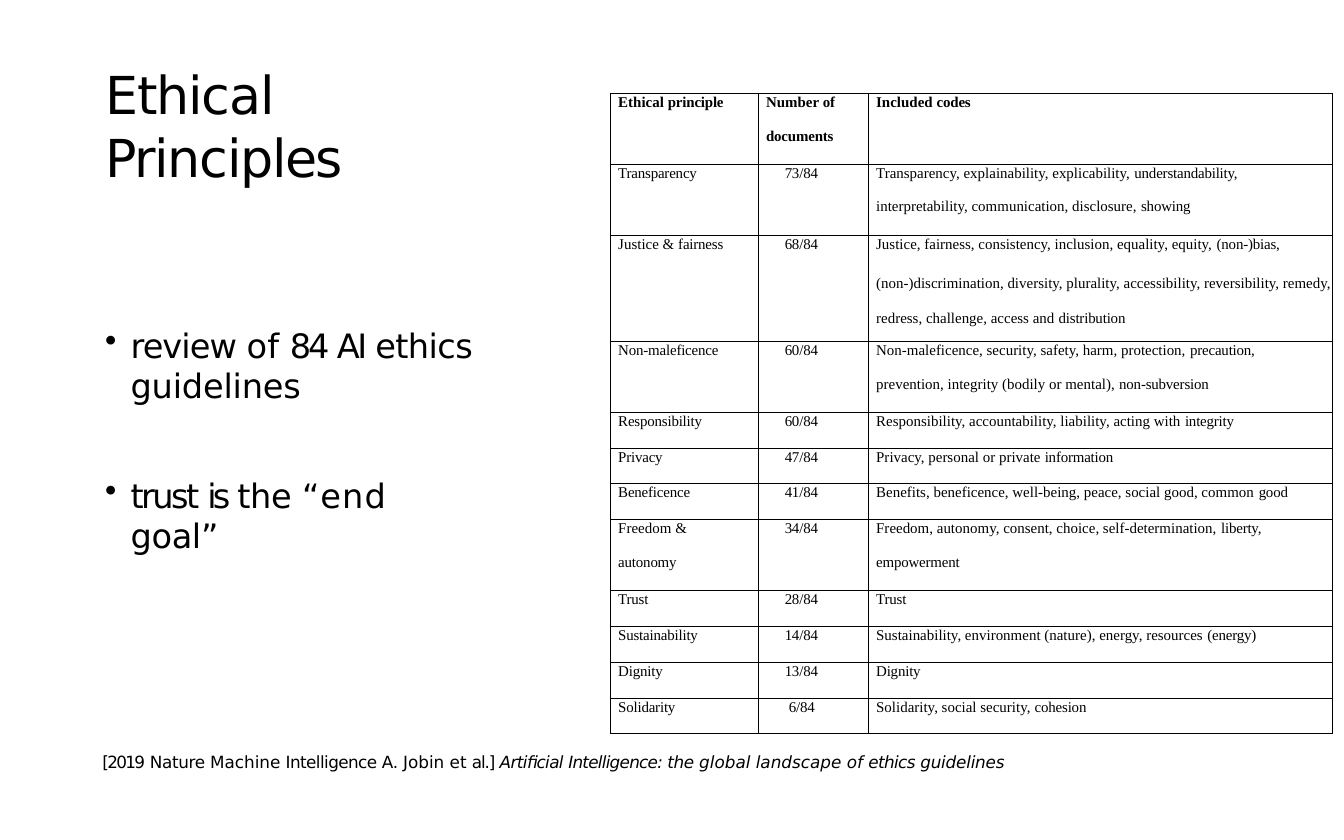
from dataclasses import dataclass

from lxml import etree
from pptx import Presentation
from pptx.dml.color import RGBColor
from pptx.enum import text
from pptx.oxml import ns
from pptx.util import Pt


@dataclass(frozen=True)
class Theme:
    ink: RGBColor = RGBColor(0, 0, 0)
    sans: str = "DejaVu Sans"
    serif: str = "Times New Roman"
    title: float = 28
    body: float = 18
    source: float = 9
    cell: float = 8
    rule: float = 0.5


TITLE = [("Ethical ", -0.6), ("Principles", -0.7)]

POINTS = [
    [("review ", -0.5), ("of ", 0), ("84 ", -1.7), ("AI ", -1.4),
     ("ethics ", -0.3), ("guidelines", -0.1)],
    [("trust ", -1.4), ("is ", -2), ("the ", -0.2), ("“end ", 0.6), ("goal”", -0.2)],
]

CITATION = [("[2019", -0.9), (" Nature ", -0.2), ("Machine ", 0),
            ("Intelligence", -0.3), (" A. ", -0.2), ("Jobin et ", 0), ("al.] ", -0.6)]
PAPER = [("Artificial ", -0.3), ("Intelligence: ", -0.4), ("the ", -0.2),
         ("global landscape of ", 0), ("ethics ", -0.3), ("guidelines", -0.1)]

# A line break inside a cell starts a new paragraph.
PRINCIPLES = [
    ("Ethical principle", "Number of\ndocuments", "Included codes"),
    ("Transparency", "73/84",
     "Transparency, explainability, explicability, understandability,\n"
     "interpretability, communication, disclosure, showing"),
    ("Justice & fairness", "68/84",
     "Justice, fairness, consistency, inclusion, equality, equity, (non-)bias,\n"
     "(non-)discrimination, diversity, plurality, accessibility, reversibility, "
     "remedy, redress, challenge, access and distribution"),
    ("Non-maleficence", "60/84",
     "Non-maleficence, security, safety, harm, protection, precaution,\n"
     "prevention, integrity (bodily or mental), non-subversion"),
    ("Responsibility", "60/84",
     "Responsibility, accountability, liability, acting with integrity"),
    ("Privacy", "47/84", "Privacy, personal or private information"),
    ("Beneficence", "41/84",
     "Benefits, beneficence, well-being, peace, social good, common good"),
    ("Freedom &\nautonomy", "34/84",
     "Freedom, autonomy, consent, choice, self-determination, liberty,\nempowerment"),
    ("Trust", "28/84", "Trust"),
    ("Sustainability", "14/84",
     "Sustainability, environment (nature), energy, resources (energy)"),
    ("Dignity", "13/84", "Dignity"),
    ("Solidarity", "6/84", "Solidarity, social security, cohesion"),
]
COLUMN_WIDTHS = (79.2, 59, 248.4)
ROW_HEIGHTS = {1: 19.2, 2: 38, 3: 56.9}  # by number of text lines
WRAP_LENGTH = 80  # longer paragraphs take two lines


def line_count(cell_text):
    return sum(1 + (len(line) > WRAP_LENGTH) for line in cell_text.split("\n"))


class SlideWriter:
    def __init__(self, page, theme):
        self.page = page
        self.theme = theme

    def style(self, para, font, size, bold=None):
        para.font.name = font
        para.font.size = Pt(size)
        para.font.bold = bold
        para.font.color.rgb = self.theme.ink

    def spans(self, para, pieces, italic=None):
        """Add (text, letter spacing in points) pieces as runs."""
        for words, spacing in pieces:
            span = para.add_run()
            span.text = words
            span.font.italic = italic
            span.font._element.set("spc", str(round(spacing * 100)))

    def indent(self, para, left, hanging=0):
        properties = para._p.get_or_add_pPr()
        properties.set("marL", str(Pt(left)))
        properties.set("indent", str(-Pt(hanging)))
        return properties

    def text_box(self, left, top, width, height):
        box = self.page.shapes.add_textbox(Pt(left), Pt(top), Pt(width), Pt(height))
        frame = box.text_frame
        frame.word_wrap = True
        frame.auto_size = text.MSO_AUTO_SIZE.SHAPE_TO_FIT_TEXT
        frame.margin_left = frame.margin_right = frame.margin_bottom = 0
        frame.margin_top = Pt(1.7)
        return frame

    def line(self, frame, pieces, size):
        para = frame.paragraphs[0]
        self.indent(para, 0.9)
        self.style(para, self.theme.sans, size)
        self.spans(para, pieces)
        return para

    def bullets(self, frame, points, gap):
        for index, pieces in enumerate(points):
            para = frame.add_paragraph() if index else frame.paragraphs[0]
            if index:
                para.space_before = Pt(gap)
            properties = self.indent(para, 14.4, 13.7)
            etree.SubElement(properties, ns.qn("a:buChar"), char="•")
            self.style(para, self.theme.sans, self.theme.body)
            self.spans(para, pieces)

    def borders(self, cell):
        properties = cell._tc.get_or_add_tcPr()
        for index, side in enumerate(("lnL", "lnR", "lnT", "lnB")):
            edge = etree.Element(ns.qn(f"a:{side}"), w=str(Pt(self.theme.rule)))
            fill = etree.SubElement(edge, ns.qn("a:solidFill"))
            etree.SubElement(fill, ns.qn("a:srgbClr"), val=str(self.theme.ink))
            properties.insert(index, edge)

    def cell(self, cell, content, left, bold):
        cell.fill.background()
        self.borders(cell)
        cell.margin_left = cell.margin_right = cell.margin_top = cell.margin_bottom = 0
        frame = cell.text_frame
        for index, words in enumerate(content.split("\n")):
            para = frame.add_paragraph() if index else frame.paragraphs[0]
            self.indent(para, left)
            if index == 0:
                para.line_spacing = Pt(9.2)
            elif len(words) > WRAP_LENGTH:
                para.line_spacing = Pt(19)
                para.space_before = Pt(1.9)
            else:
                para.space_before = Pt(9.2)
            self.style(para, self.theme.serif, self.theme.cell, bold)
            start, space, last = words.rpartition(" ")
            pieces = [(start + space, 0), (last, -0.1)]
            self.spans(para, [piece for piece in pieces if piece[0]])

    def table(self, rows, left, top):
        heights = [ROW_HEIGHTS[max(map(line_count, row))] for row in rows]
        table = self.page.shapes.add_table(
            len(rows), len(COLUMN_WIDTHS), Pt(left), Pt(top),
            Pt(sum(COLUMN_WIDTHS)), Pt(sum(heights))).table
        table.first_row = table.horz_banding = False
        for column, width in zip(table.columns, COLUMN_WIDTHS):
            column.width = Pt(width)
        for r, (row, height) in enumerate(zip(rows, heights)):
            table.rows[r].height = Pt(height)
            for c, content in enumerate(row):
                inset = 4.2
                if r and c == 1:
                    inset = 14.2 if len(content) == 5 else 16.4
                self.cell(table.cell(r, c), content, inset, bold=r == 0)


def main():
    deck = Presentation()
    deck.slide_width, deck.slide_height = Pt(720), Pt(450)
    theme = Theme()
    writer = SlideWriter(deck.slides.add_slide(deck.slide_layouts[6]), theme)

    writer.table(PRINCIPLES, 327, 50)
    writer.bullets(writer.text_box(55.6, 172.3, 203, 104.4), POINTS, gap=37)
    source = writer.line(writer.text_box(54, 401, 491.8, 13), CITATION, theme.source)
    writer.spans(source, PAPER, italic=True)
    writer.line(writer.text_box(55.6, 31.9, 225.4, 35.3), TITLE, theme.title)
    deck.save("out.pptx")


if __name__ == "__main__":
    main()
